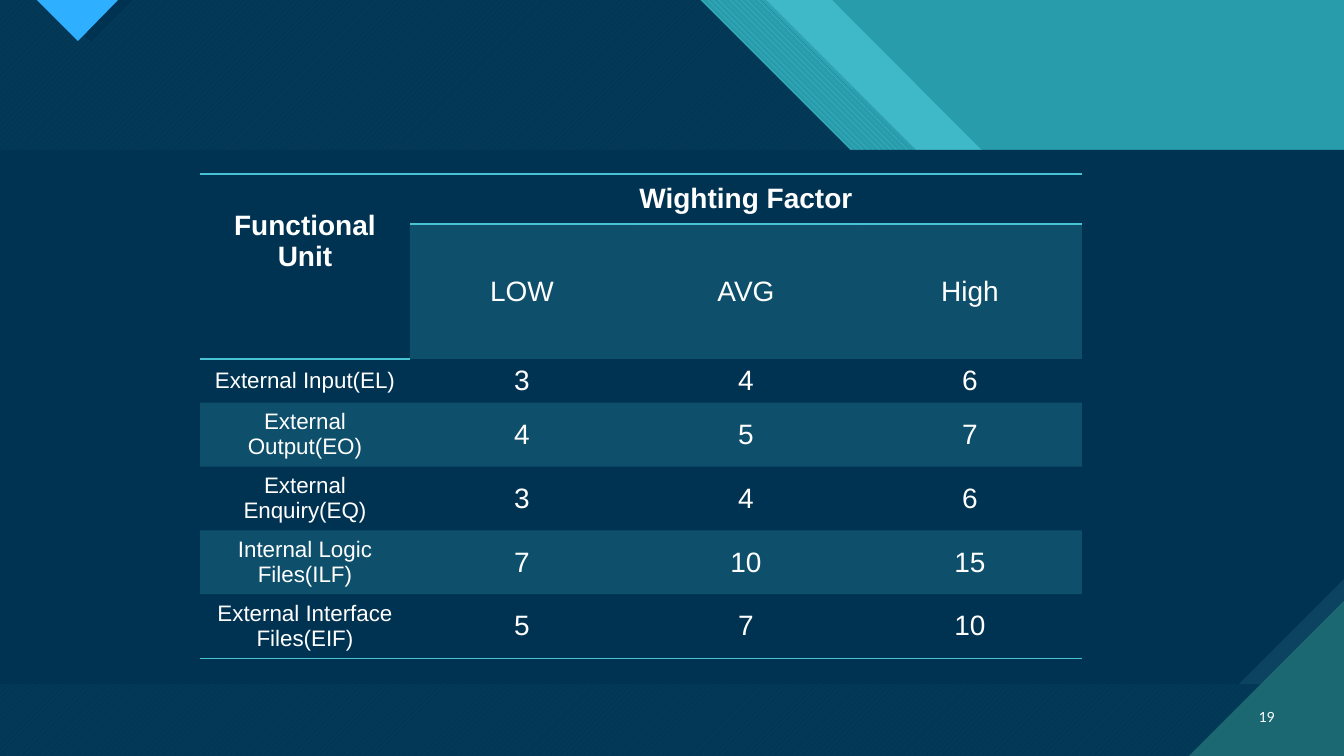
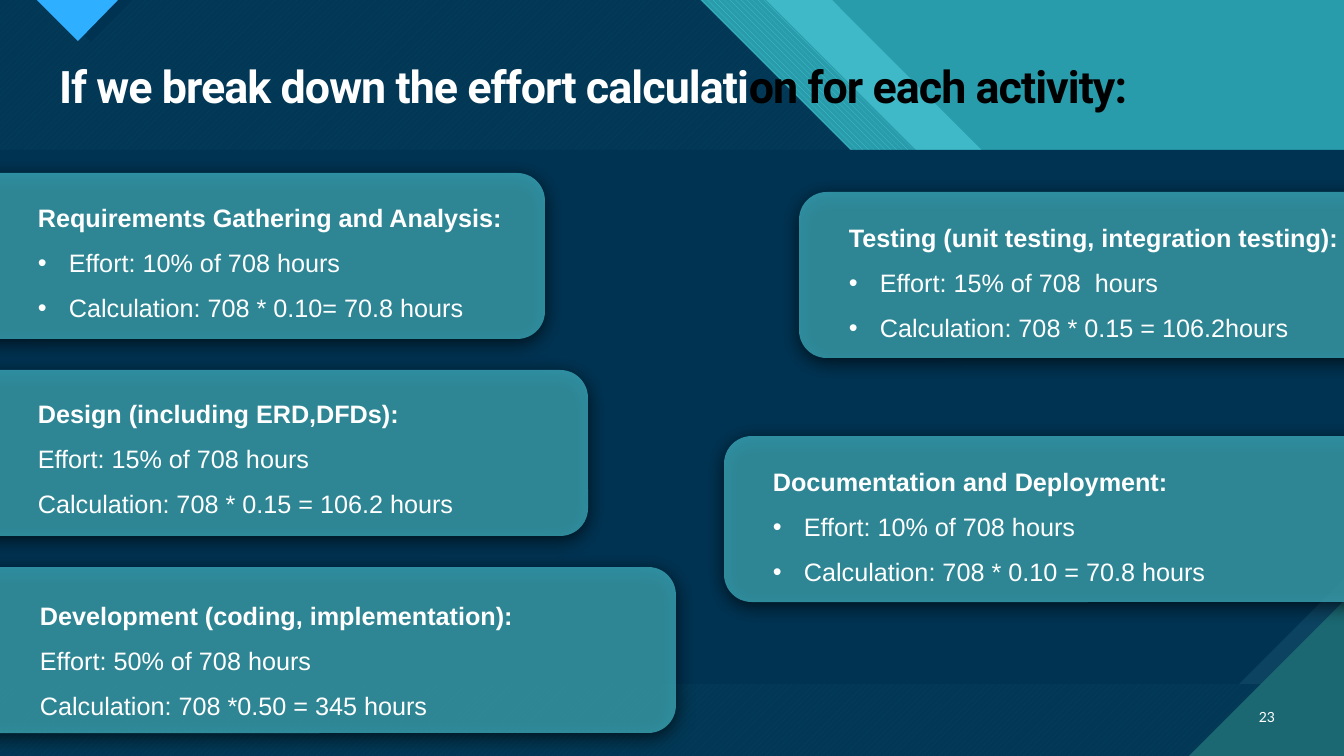
from lxml import etree
from pptx import Presentation
from pptx.dml.color import RGBColor
from pptx.enum.dml import MSO_PATTERN
from pptx.enum.shapes import MSO_SHAPE
from pptx.enum.text import MSO_ANCHOR, PP_ALIGN
from pptx.oxml import parse_xml
from pptx.oxml.ns import nsdecls, qn
from pptx.util import Pt

PX = 914400 / 100.8
WIDTH, HEIGHT = 1344, 756
TITLE_ONLY, BLANK = 5, 6
LEFT, CENTER, RIGHT = PP_ALIGN.LEFT, PP_ALIGN.CENTER, PP_ALIGN.RIGHT
MIDDLE = MSO_ANCHOR.MIDDLE
DOWN_DIAGONAL = MSO_PATTERN.WIDE_DOWNWARD_DIAGONAL
UP_DIAGONAL = MSO_PATTERN.WIDE_UPWARD_DIAGONAL
ROUNDED = MSO_SHAPE.ROUNDED_RECTANGLE

WHITE = RGBColor(0xFF, 0xFF, 0xFF)
BLACK = RGBColor(0x00, 0x00, 0x00)
NAVY = RGBColor(0x00, 0x33, 0x52)
INK = RGBColor(0x0C, 0x43, 0x60)
PINE = RGBColor(0x1B, 0x68, 0x72)
TEAL = RGBColor(0x29, 0x9C, 0xAB)
AQUA = RGBColor(0x47, 0xC3, 0xD3)
SKY = RGBColor(0x2F, 0xAF, 0xFF)


def set_fill(fill, color, alpha=100, pattern=None, back=None):
    """Fill with a colour of the given opacity in percent, or with a pattern."""
    if pattern:
        fill.patterned()
        fill.pattern = pattern
        fill.fore_color.rgb = color
        fill.back_color.rgb = back
        return
    fill.solid()
    fill.fore_color.rgb = color
    if alpha < 100:
        clr = fill._xPr.find(qn("a:solidFill"))[0]
        etree.SubElement(clr, qn("a:alpha"), val=str(alpha * 1000))


def add_text(p, text, size=18, font="Arial", color=WHITE, bold=False,
             align=LEFT, spacing=None, bullet=False, tracking=None):
    if bullet:
        pPr = p._p.get_or_add_pPr()
        indent = round(31 * PX)
        pPr.set("marL", str(indent))
        pPr.set("indent", str(-indent))
        etree.SubElement(pPr, qn("a:buFont"), typeface="Arial")
        etree.SubElement(pPr, qn("a:buChar"), char="•")
    p.alignment = align
    if spacing:
        p.line_spacing = spacing
    r = p.add_run()
    r.text = text
    r.font.size = Pt(size)
    r.font.name = font
    r.font.bold = bold
    r.font.color.rgb = color
    if tracking:
        r._r.get_or_add_rPr().set("spc", str(tracking))


prs = Presentation()
prs.slide_width = round(WIDTH * PX)
prs.slide_height = round(HEIGHT * PX)
master = prs.slide_master
set_fill(master.background.fill, AQUA)
table_slide = prs.slides.add_slide(prs.slide_layouts[BLANK])
effort_slide = prs.slides.add_slide(prs.slide_layouts[TITLE_ONLY])

# Shared backdrop, drawn from back to front and moved to the master
floor = [(WIDTH, HEIGHT), (0, HEIGHT)]
dark_area = [(0, 0), (700, 0), (1000, 300), (1127, 300), (WIDTH, 516)] + floor
backdrop = [
    ([(0, 0), (WIDTH, 0)] + floor, dict(color=TEAL)),
    ([(0, 0), (832, 0), (1131, 300), (1244, 300), (WIDTH, 399)] + floor,
     dict(color=AQUA, alpha=74)),
    ([(66, 0), (766, 0), (1066, 300), (1194, 300), (WIDTH, 450), (WIDTH, HEIGHT), (66, HEIGHT)],
     dict(color=AQUA, pattern=DOWN_DIAGONAL, back=TEAL)),
    (dark_area, dict(color=AQUA, pattern=UP_DIAGONAL, back=PINE)),
    (dark_area, dict(color=NAVY, alpha=90)),
    ([(48, 0), (132, 0), (91, 42)], dict(color=NAVY)),
    ([(37, 0), (118, 0), (78, 41)], dict(color=SKY)),
    ([(0, 150), (WIDTH, 150), (WIDTH, 684), (0, 684)], dict(color=INK)),
    ([(0, 150), (WIDTH, 150), (WIDTH, 579), (1239, 684), (0, 684)], dict(color=NAVY)),
    ([(1189, HEIGHT), (WIDTH, HEIGHT), (WIDTH, 601)], dict(color=PINE)),
]
for number, (points, fill) in enumerate(backdrop, start=20):
    builder = table_slide.shapes.build_freeform(*points[0], scale=PX)
    builder.add_line_segments(points[1:], close=True)
    sp = builder.convert_to_shape()
    sp.shadow.inherit = False
    sp.line.fill.background()
    set_fill(sp.fill, **fill)
    sp.element.nvSpPr.cNvPr.set("id", str(number))
    master.shapes.element.append(sp.element)

for s, page in ((table_slide, "19"), (effort_slide, "23")):
    tf = s.shapes.add_textbox(*(round(v * PX) for v in (1241, 697, 44, 40))).text_frame
    tf.word_wrap = True
    tf.vertical_anchor = MIDDLE
    add_text(tf.paragraphs[0], page, size=10, font="Lato", align=RIGHT)

# Weighting factor table
rows = [
    ("Functional Unit", "Wighting Factor", "", ""),
    ("", "LOW", "AVG", "High"),
    ("External Input(EL)", "3", "4", "6"),
    ("External Output(EO)", "4", "5", "7"),
    ("External Enquiry(EQ)", "3", "4", "6"),
    ("Internal Logic Files(ILF)", "7", "10", "15"),
    ("External Interface Files(EIF)", "5", "7", "10"),
]
col_widths = [210] + [224] * 3
row_heights = [50, 135, 42] + [60] * 4
frame = table_slide.shapes.add_table(
    len(rows), len(col_widths), round(200 * PX), round(174 * PX),
    round(sum(col_widths) * PX), round(sum(row_heights) * PX))
table = frame.table
table.first_row = table.horz_banding = False
# "No Style, No Grid"
table._tbl.tblPr.find(qn("a:tableStyleId")).text = "{2D5ABB26-0587-4C30-8999-92F81FD0307C}"
for col, width in zip(table.columns, col_widths):
    col.width = round(width * PX)
for row, height in zip(table.rows, row_heights):
    row.height = round(height * PX)
table.cell(0, 0).merge(table.cell(1, 0))
table.cell(0, 1).merge(table.cell(0, 3))

last = len(rows) - 1
for i, values in enumerate(rows):
    for j, value in enumerate(values):
        cell = table.cell(i, j)
        if i % 2 and (i, j) != (1, 0):
            set_fill(cell.fill, AQUA, alpha=20)
        else:
            cell.fill.background()
        if value:
            cell.vertical_anchor = MIDDLE
            add_text(cell.text_frame.paragraphs[0], value, bold=i == 0, align=CENTER,
                     size=16 if j == 0 and i > 1 else 20)
        edges = []
        if i in (0, last) or (i, j) == (1, 0):
            edges.append("lnB")
        if i == 0:
            edges.append("lnT")
        for edge in edges:
            cell._tc.get_or_add_tcPr().insert(0, parse_xml(
                f'<a:{edge} {nsdecls("a")} w="12700"><a:solidFill>'
                f'<a:srgbClr val="{AQUA}"/></a:solidFill></a:{edge}>'))
corner = table.cell(0, 0)
corner.vertical_anchor = MSO_ANCHOR.TOP
corner.margin_top = round(36 * PX)

# Effort per activity
title = effort_slide.shapes.title
title.left, title.top, title.width, title.height = (round(v * PX) for v in (49, 59, 1236, 59))
p = title.text_frame.paragraphs[0]
for text, color in (("If we break down the effort calculati", WHITE),
                    ("on for each activity:", BLACK)):
    add_text(p, text, size=32, font="Roboto", color=color, bold=True, spacing=0.9, tracking=-70)

CARD_HEIGHT = 166
# card left, top, width; text left, top, width; bulleted; lines
activities = [
    ((-120, 173, 665), (28, 182, 515), True,
     ("Requirements Gathering and Analysis:", "Effort: 10% of 708 hours",
      "Calculation: 708 * 0.10= 70.8 hours")),
    ((-77, 370, 665), (28, 378, 547), False,
     ("Design (including ERD,DFDs):", "Effort: 15% of 708 hours",
      "Calculation: 708 * 0.15 = 106.2 hours")),
    ((-120, 567, 796), (30, 580, 640), False,
     ("Development (coding, implementation):", "Effort: 50% of 708 hours",
      "Calculation: 708 *0.50 = 345 hours")),
    ((799, 192, 665), (839, 202, 505), True,
     ("Testing (unit testing, integration testing):", "Effort: 15% of 708  hours",
      "Calculation: 708 * 0.15 = 106.2hours")),
    ((724, 436, 665), (763, 446, 580), True,
     ("Documentation and Deployment:", "Effort: 10% of 708 hours",
      "Calculation: 708 * 0.10 = 70.8 hours")),
]
for card_box, text_box, bulleted, lines in activities:
    card = effort_slide.shapes.add_shape(
        ROUNDED, *(round(v * PX) for v in (*card_box, CARD_HEIGHT)))
    set_fill(card.fill, AQUA, alpha=66)
    card.line.fill.background()
    card.shadow.inherit = False
    card.element.spPr.find(qn("a:effectLst")).append(parse_xml(
        f'<a:outerShdw {nsdecls("a")} blurRad="{Pt(14)}" dist="{Pt(3)}" dir="5400000">'
        f'<a:srgbClr val="{BLACK}"/></a:outerShdw>'))

    tf = effort_slide.shapes.add_textbox(*(round(v * PX) for v in (*text_box, 142))).text_frame
    tf.word_wrap = True
    tf.margin_right = 0
    for k, line in enumerate(lines):
        p = tf.add_paragraph() if k else tf.paragraphs[0]
        add_text(p, line, bold=k == 0, spacing=1.5, bullet=bulleted and k > 0)

prs.save("out.pptx")
